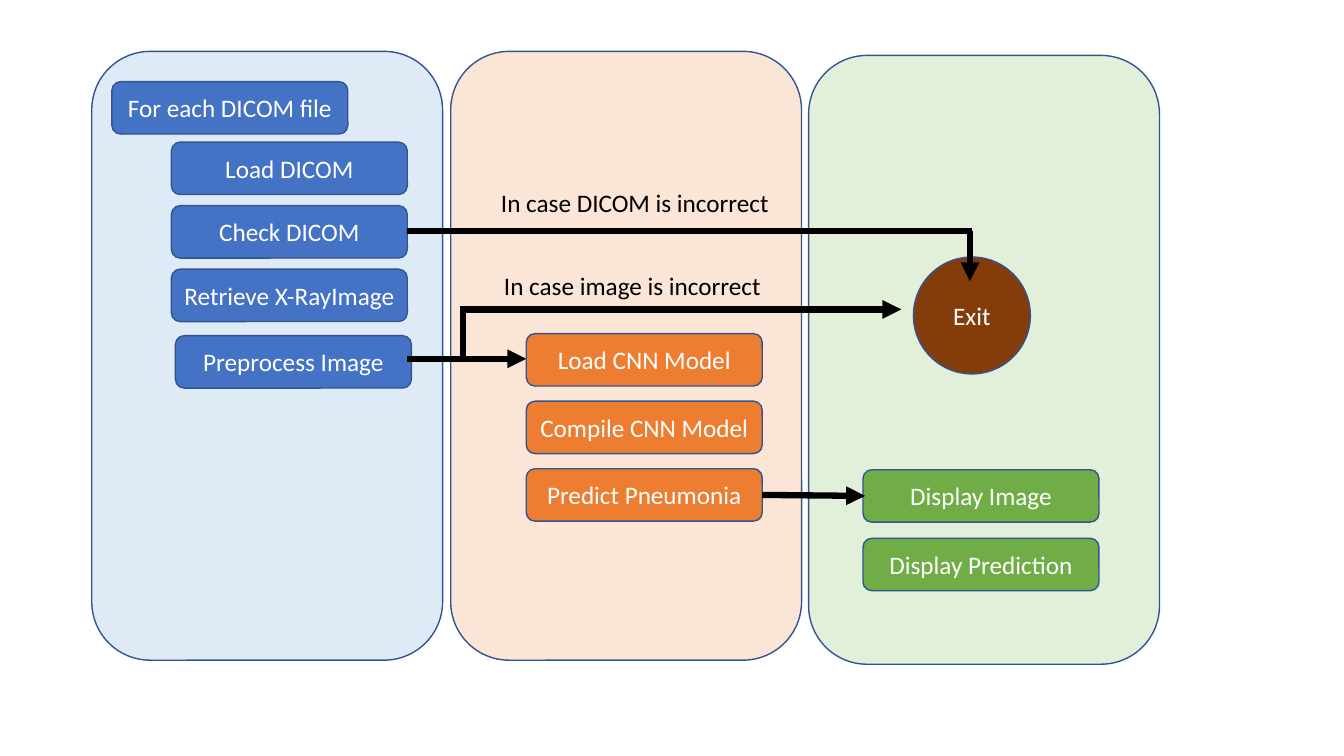
from dataclasses import dataclass
from lxml import etree
from pptx import Presentation
from pptx.dml.color import RGBColor
from pptx.enum.shapes import MSO_CONNECTOR, MSO_SHAPE
from pptx.enum.text import MSO_ANCHOR, PP_ALIGN
from pptx.oxml.ns import qn
from pptx.util import Inches, Pt

ROUND, OVAL = MSO_SHAPE.ROUNDED_RECTANGLE, MSO_SHAPE.OVAL
STRAIGHT = MSO_CONNECTOR.STRAIGHT
MIDDLE, CENTER = MSO_ANCHOR.MIDDLE, PP_ALIGN.CENTER


@dataclass(frozen=True)
class Theme:
    font: str = "Calibri"
    size: int = 18
    outline: str = "325491"
    outline_width: float = 1
    arrow_width: float = 4.5
    light: str = "FFFFFF"
    dark: str = "000000"
    exit: str = "843C0B"


theme = Theme()
LANE_SIZE = (3.48, 6.04)
STEP_SIZE = (2.34, 0.52)

LANES = [
    {"at": (0.91, 0.51), "fill": "DEEBF7", "step_fill": "4472C4",
     "steps": [("For each DICOM file", 1.11, 0.81), ("Load DICOM", 1.7, 1.41),
               ("Check DICOM", 1.7, 2.04), ("Retrieve X-RayImage", 1.7, 2.67),
               ("Preprocess Image", 1.74, 3.33)]},
    {"at": (4.47, 0.51), "fill": "FBE5D6", "step_fill": "ED7D31",
     "steps": [("Load CNN Model", 5.22, 3.31), ("Compile CNN Model", 5.22, 3.98),
               ("Predict Pneumonia", 5.22, 4.65)]},
    {"at": (8.02, 0.55), "fill": "E2F0D9", "step_fill": "70AD47",
     "steps": [("Display Image", 8.56, 4.66), ("Display Prediction", 8.56, 5.34)]},
]
EXIT = ("Exit", (9.06, 2.55), (1.16, 1.16))
ARROWS = [
    ((4.04, 2.29), (9.64, 2.29), False),
    ((9.62, 2.29), (9.62, 2.79), True),
    ((4.04, 3.56), (5.22, 3.56), True),
    ((4.59, 3.56), (4.59, 3.04), False),
    ((4.59, 3.07), (8.94, 3.07), True),
    ((7.56, 4.91), (8.58, 4.92), True),
]
LABELS = [
    ("In case DICOM is incorrect", (4.87, 1.81), (2.89, 0.4)),
    ("In case image is incorrect", (4.9, 2.63), (2.78, 0.4)),
]


def rgb(color):
    return RGBColor.from_string(color)


def set_text(tf, text, color):
    p = tf.paragraphs[0]
    p.text = text
    p.font.name = theme.font
    p.font.size = Pt(theme.size)
    p.font.color.rgb = rgb(color)
    return p


def add_box(s, kind, at, size, fill, text=None):
    sp = s.shapes.add_shape(kind, *map(Inches, at + size))
    sp.shadow.inherit = False
    sp.fill.solid()
    sp.fill.fore_color.rgb = rgb(fill)
    sp.line.color.rgb = rgb(theme.outline)
    sp.line.width = Pt(theme.outline_width)
    if text:
        sp.text_frame.vertical_anchor = MIDDLE
        set_text(sp.text_frame, text, theme.light).alignment = CENTER


def add_arrow(s, start, end, head):
    cxn = s.shapes.add_connector(STRAIGHT, *map(Inches, start + end))
    cxn.line.color.rgb = rgb(theme.dark)
    cxn.line.width = Pt(theme.arrow_width)
    if head:
        etree.SubElement(cxn.line._get_or_add_ln(), qn("a:tailEnd"), type="triangle")
    etree.SubElement(cxn._element.spPr, qn("a:effectLst"))


def add_label(s, text, at, size):
    tf = s.shapes.add_textbox(*map(Inches, at + size)).text_frame
    tf.word_wrap = False
    set_text(tf, text, theme.dark)


prs = Presentation()
prs.slide_width, prs.slide_height = Inches(13.33), Inches(7.5)
s = prs.slides.add_slide(prs.slide_layouts[6])

for lane in LANES:
    add_box(s, ROUND, lane["at"], LANE_SIZE, lane["fill"])
for lane in LANES:
    for text, x, y in lane["steps"]:
        add_box(s, ROUND, (x, y), STEP_SIZE, lane["step_fill"], text)

exit_text, exit_at, exit_size = EXIT
add_box(s, OVAL, exit_at, exit_size, theme.exit, exit_text)
for arrow in ARROWS:
    add_arrow(s, *arrow)
for label in LABELS:
    add_label(s, *label)

prs.save("out.pptx")
